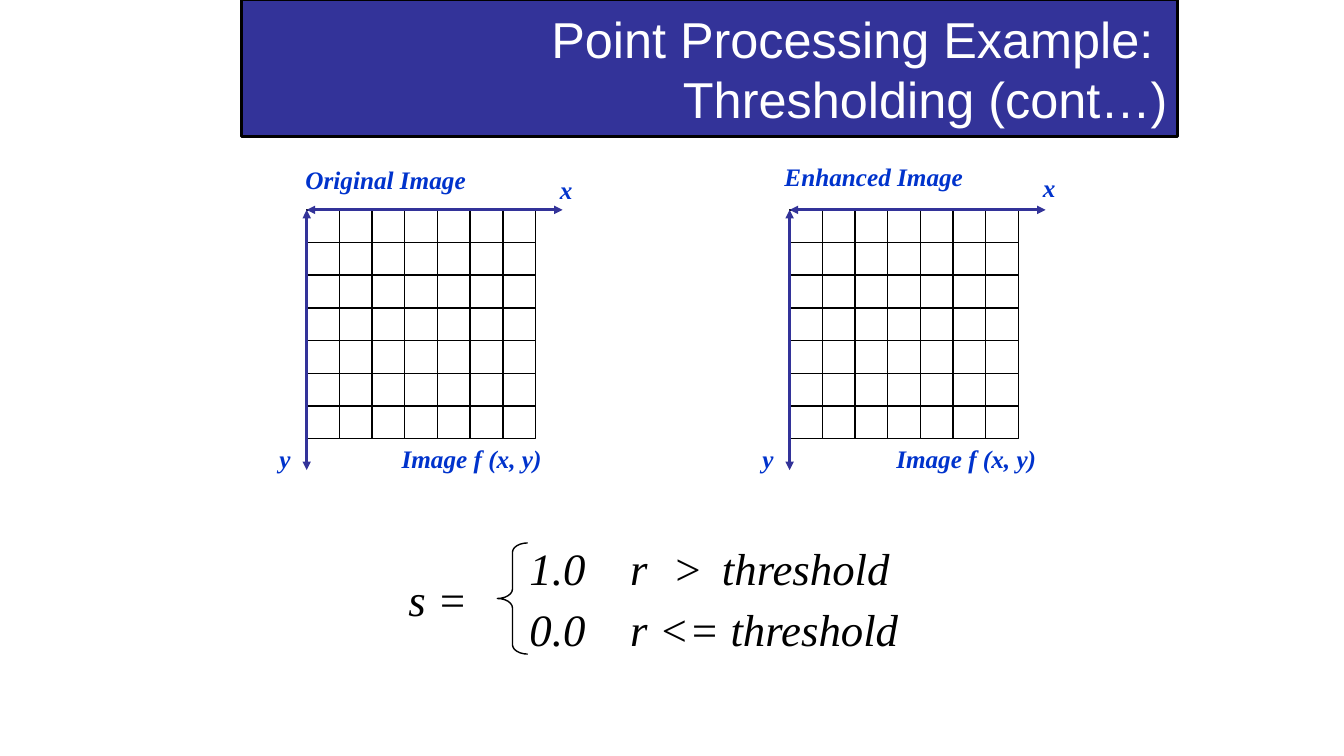
from lxml import etree
from pptx import Presentation
from pptx import util as u
from pptx.dml.color import RGBColor
from pptx.enum import shapes, text
from pptx.oxml import ns

NAVY = RGBColor(0x33, 0x33, 0x99)
BLUE = RGBColor(0x00, 0x33, 0xCC)
BLACK = RGBColor(0x00, 0x00, 0x00)
WHITE = RGBColor(0xFF, 0xFF, 0xFF)
SERIF = "Times New Roman"
CELLS = 7
CELL = u.Inches(2.27) / CELLS


def grid(*lengths):
    """Turn lengths counted in grid cells into slide units."""
    return [round(length * CELL) for length in lengths]


def add_outlined(parent, kind, box, width, fill=None):
    """Add a black-outlined preset shape in a box of grid cells."""
    shape = parent.shapes.add_shape(kind, *grid(*box))
    shape.shadow.inherit = False
    if fill is None:
        shape.fill.background()
    else:
        shape.fill.solid()
        shape.fill.fore_color.rgb = fill
    shape.line.color.rgb = BLACK
    shape.line.width = u.Pt(width)
    return shape


def format_runs(paragraph, name, size, color, bold=False, italic=False):
    """Give every run of a paragraph the same font."""
    for run in paragraph.runs:
        run.font.name = name
        run.font.size = u.Pt(size)
        run.font.color.rgb = color
        run.font.bold = bold
        run.font.italic = italic


def add_label(parent, words, box, size, color, bold=False, tabs=()):
    """Add an italic serif label with optional tab stops in inches."""
    shape = parent.shapes.add_textbox(*grid(*box))
    frame = shape.text_frame
    frame.word_wrap = True
    frame.auto_size = text.MSO_AUTO_SIZE.SHAPE_TO_FIT_TEXT
    frame.text = words
    paragraph = frame.paragraphs[0]
    if tabs:
        stops = etree.SubElement(paragraph._p.get_or_add_pPr(), ns.qn("a:tabLst"))
        for stop in tabs:
            etree.SubElement(stops, ns.qn("a:tab"), pos=str(u.Inches(stop)), algn="l")
    format_runs(paragraph, SERIF, size, color, bold, italic=True)


def add_axis(parent, left, top, across, down):
    """Add an axis line with an arrowhead at both ends."""
    axis = parent.shapes.add_connector(
        shapes.MSO_CONNECTOR.STRAIGHT, *grid(left, top, left + across, top + down))
    axis.line.color.rgb = NAVY
    axis.line.width = u.Pt(2)
    for end in ("a:headEnd", "a:tailEnd"):
        etree.SubElement(axis.line._get_or_add_ln(), ns.qn(end), type="triangle")
    etree.SubElement(axis._element.spPr, ns.qn("a:effectLst"))


def add_title(slide, box):
    """Add the right-aligned title banner."""
    banner = add_outlined(slide, shapes.MSO_SHAPE.RECTANGLE, box, 2, NAVY)
    frame = banner.text_frame
    frame.word_wrap = True
    frame.vertical_anchor = text.MSO_ANCHOR.MIDDLE
    paragraph = frame.paragraphs[0]
    paragraph.text = "Point Processing Example: \v Thresholding (cont…)"
    paragraph.alignment = text.PP_ALIGN.RIGHT
    format_runs(paragraph, "Arial", 36, WHITE)


def add_pixel_grid(slide, left, top, heading, heading_at, x_at, caption_at):
    """Add a pixel grid with axes and labels, placed from its top-left corner."""
    group = slide.shapes.add_group_shape()
    for row in range(CELLS):
        for column in range(CELLS):
            add_outlined(group, shapes.MSO_SHAPE.RECTANGLE,
                         (left + column, top + row, 1, 1), 1, WHITE)
    add_axis(group, left, top, 7.83, 0)
    add_axis(group, left, top, 0, 7.96)
    labels = [
        (heading, heading_at, 7.4),
        ("x", x_at, 1.15),
        ("y", (-1.14, 6.98), 1.23),
        ("Image f (x, y)", caption_at, 6.85),
    ]
    for words, (across, down), width in labels:
        add_label(group, words, (left + across, top + down, width, 1.27), 18, BLUE, bold=True)


def add_threshold_rule(slide, left, top):
    """Add the two-case threshold formula, placed from its top-left corner."""
    group = slide.shapes.add_group_shape()
    add_label(group, "s =", (left, top + 0.96, 2.78, 1.98), 32, BLACK)
    brace = add_outlined(group, shapes.MSO_SHAPE.LEFT_BRACE,
                         (left + 3.02, top + 0.22, 0.93, 3.4), 1)
    brace.adjustments[0] = 0.31
    cases = [("1.0\tr\t>\tthreshold", 0, (1, 1.42, 1.91)),
             ("0.0\tr <= threshold", 1.88, (1,))]
    for words, down, tabs in cases:
        add_label(group, words, (left + 3.7, top + down, 12.9, 1.98), 32, BLACK, tabs=tabs)


def main():
    """Build and save the thresholding slide."""
    presentation = Presentation()
    presentation.slide_width = u.Inches(13.33)
    presentation.slide_height = u.Inches(7.5)
    slide = presentation.slides.add_slide(presentation.slide_layouts[6])
    add_title(slide, (7.38, 0, 28.64, 4.17))
    add_pixel_grid(slide, 9.38, 6.42, "Original Image",
                   (-0.34, -1.54), (7.44, -1.23), (2.6, 6.98))
    add_pixel_grid(slide, 24.15, 6.42, "Enhanced Image",
                   (-0.46, -1.64), (7.44, -1.3), (2.96, 6.98))
    add_threshold_rule(slide, 12.19, 16.39)
    presentation.save("out.pptx")


if __name__ == "__main__":
    main()
